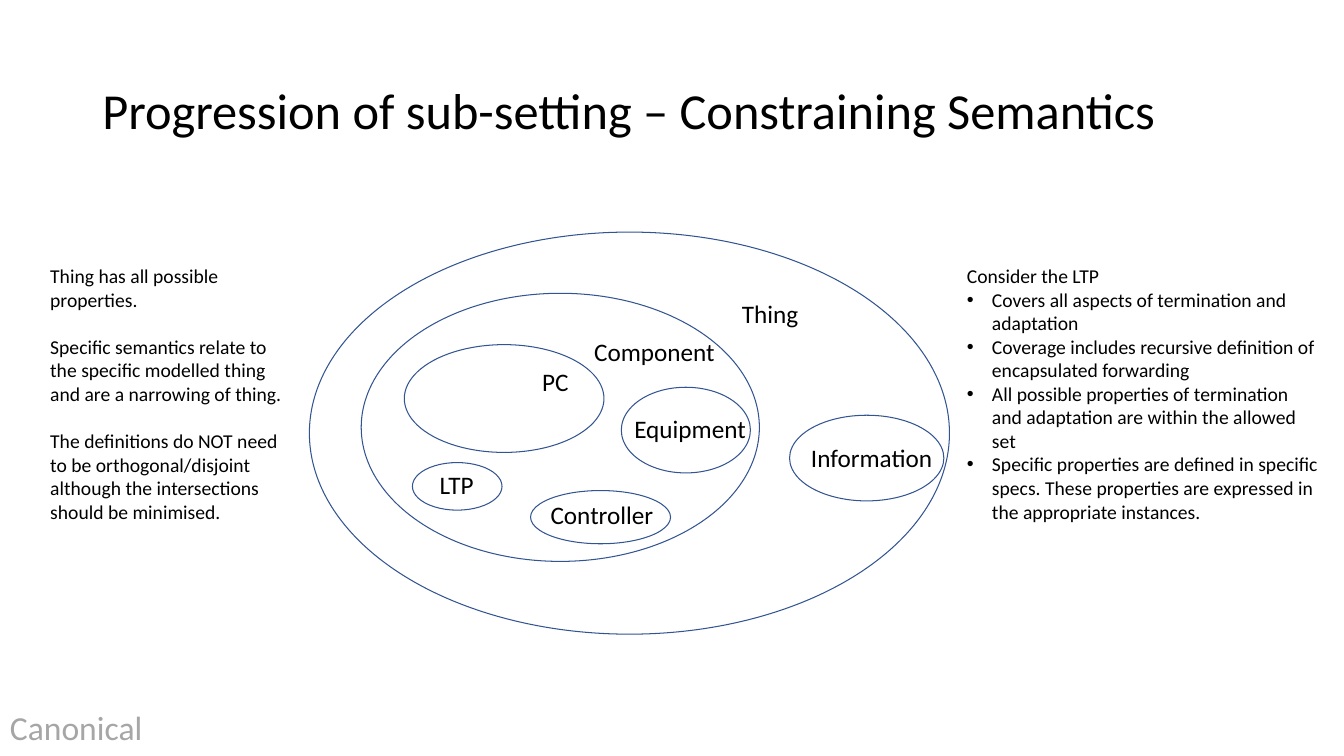
from typing import NamedTuple

from lxml import etree
from pptx import Presentation
from pptx.dml.color import RGBColor
from pptx.enum import shapes, text
from pptx.oxml.ns import qn
from pptx.util import Pt

COLORS = {"text": "000000", "outline": "325491", "footer": "A6A6A6"}
FONT = "Calibri"
NOTE_SIZE = 14
NOTE_GAP = 17
BULLET_INDENT = 18


class Box(NamedTuple):
    left: float
    top: float
    width: float
    height: float


class Line(NamedTuple):
    words: str
    bullet: bool = False
    space_before: float = 0


class TextBlock(NamedTuple):
    box: Box
    lines: list[Line]
    size: float
    color: str = "text"
    wrap: bool = False


class Label(NamedTuple):
    words: str
    left: float
    top: float
    width: float


TITLE = TextBlock(Box(66, 28.8, 828, 104.4),
                  [Line("Progression of sub-setting – Constraining Semantics")], 36, wrap=True)

# Outermost set first, then the sets nested in it
SET_OUTLINES = [
    Box(221, 165.8, 457.2, 287.2),  # Thing
    Box(258, 209.5, 284.4, 191.5),  # Component
    Box(288.8, 246.2, 142.6, 77),  # PC
    Box(379, 350.4, 100, 38),  # Controller
    Box(443.8, 276.6, 92.2, 61.2),  # Equipment
    Box(564, 296.6, 110.2, 61.2),  # Information
    Box(294.6, 330.4, 64, 34),  # LTP
]

LABELS = [
    Label("Thing", 522.9, 209.5, 55.4),
    Label("Component", 417.3, 236.9, 101.5),
    Label("PC", 380.2, 258.2, 33.8),
    Label("Controller", 386.2, 353.2, 88.6),
    Label("Equipment", 446, 291.6, 95),
    Label("Information", 572.2, 312.5, 102.2),
    Label("LTP", 306.9, 331.9, 38.9),
]
LABEL_HEIGHT = 28.8

NOTES = [
    TextBlock(Box(28.8, 185, 185, 211), [
        Line("Thing has all possible properties."),
        Line("Specific semantics relate to the specific modelled thing "
             "and are a narrowing of thing.", space_before=NOTE_GAP),
        Line("The definitions do NOT need to be orthogonal/disjoint "
             "although the intersections should be minimised.", space_before=NOTE_GAP),
    ], NOTE_SIZE, wrap=True),
    TextBlock(Box(683.5, 185.1, 265.7, 227.5), [
        Line("Consider the LTP"),
        Line("Covers all aspects of termination and adaptation", bullet=True),
        Line("Coverage includes recursive definition of encapsulated forwarding", bullet=True),
        Line("All possible properties of termination and adaptation "
             "are within the allowed set", bullet=True),
        Line("Specific properties are defined in specific specs. These properties "
             "are expressed in the appropriate instances.", bullet=True),
    ], NOTE_SIZE, wrap=True),
]

FOOTER = TextBlock(Box(0, 501.1, 110.2, 36), [Line("Canonical")], 24, "footer")


def to_points(box: Box) -> list[Pt]:
    return [Pt(length) for length in box]


def add_bullet(paragraph) -> None:
    """Give the paragraph a round bullet with a hanging indent."""
    properties = paragraph._p.get_or_add_pPr()
    properties.set("marL", str(Pt(BULLET_INDENT)))
    properties.set("indent", str(-Pt(BULLET_INDENT)))
    etree.SubElement(properties, qn("a:buFont")).set("typeface", "Arial")
    etree.SubElement(properties, qn("a:buChar")).set("char", "•")


def add_text(slide, block: TextBlock):
    shape = slide.shapes.add_textbox(*to_points(block.box))
    frame = shape.text_frame
    frame.word_wrap = block.wrap
    frame.auto_size = text.MSO_AUTO_SIZE.SHAPE_TO_FIT_TEXT
    for index, line in enumerate(block.lines):
        paragraph = frame.add_paragraph() if index else frame.paragraphs[0]
        if line.space_before:
            paragraph.space_before = Pt(line.space_before)
        if line.bullet:
            add_bullet(paragraph)
        run = paragraph.add_run()
        run.text = line.words
        run.font.name = FONT
        run.font.size = Pt(block.size)
        run.font.color.rgb = RGBColor.from_string(COLORS[block.color])
    return shape


def add_title(slide) -> None:
    frame = add_text(slide, TITLE).text_frame
    frame.auto_size = text.MSO_AUTO_SIZE.NONE
    frame.vertical_anchor = text.MSO_ANCHOR.MIDDLE
    frame.paragraphs[0].line_spacing = 0.9


def add_set_outline(slide, box: Box) -> None:
    shape = slide.shapes.add_shape(shapes.MSO_SHAPE.OVAL, *to_points(box))
    shape.shadow.inherit = False
    shape.fill.background()
    shape.line.color.rgb = RGBColor.from_string(COLORS["outline"])
    shape.line.width = Pt(0.75)


def main() -> None:
    presentation = Presentation()
    presentation.slide_width, presentation.slide_height = Pt(960), Pt(540)
    slide = presentation.slides.add_slide(presentation.slide_layouts[6])

    add_title(slide)
    for outline in SET_OUTLINES:
        add_set_outline(slide, outline)
    for label in LABELS:
        box = Box(label.left, label.top, label.width, LABEL_HEIGHT)
        add_text(slide, TextBlock(box, [Line(label.words)], 18))
    for block in [*NOTES, FOOTER]:
        add_text(slide, block)

    presentation.save("out.pptx")


if __name__ == "__main__":
    main()
